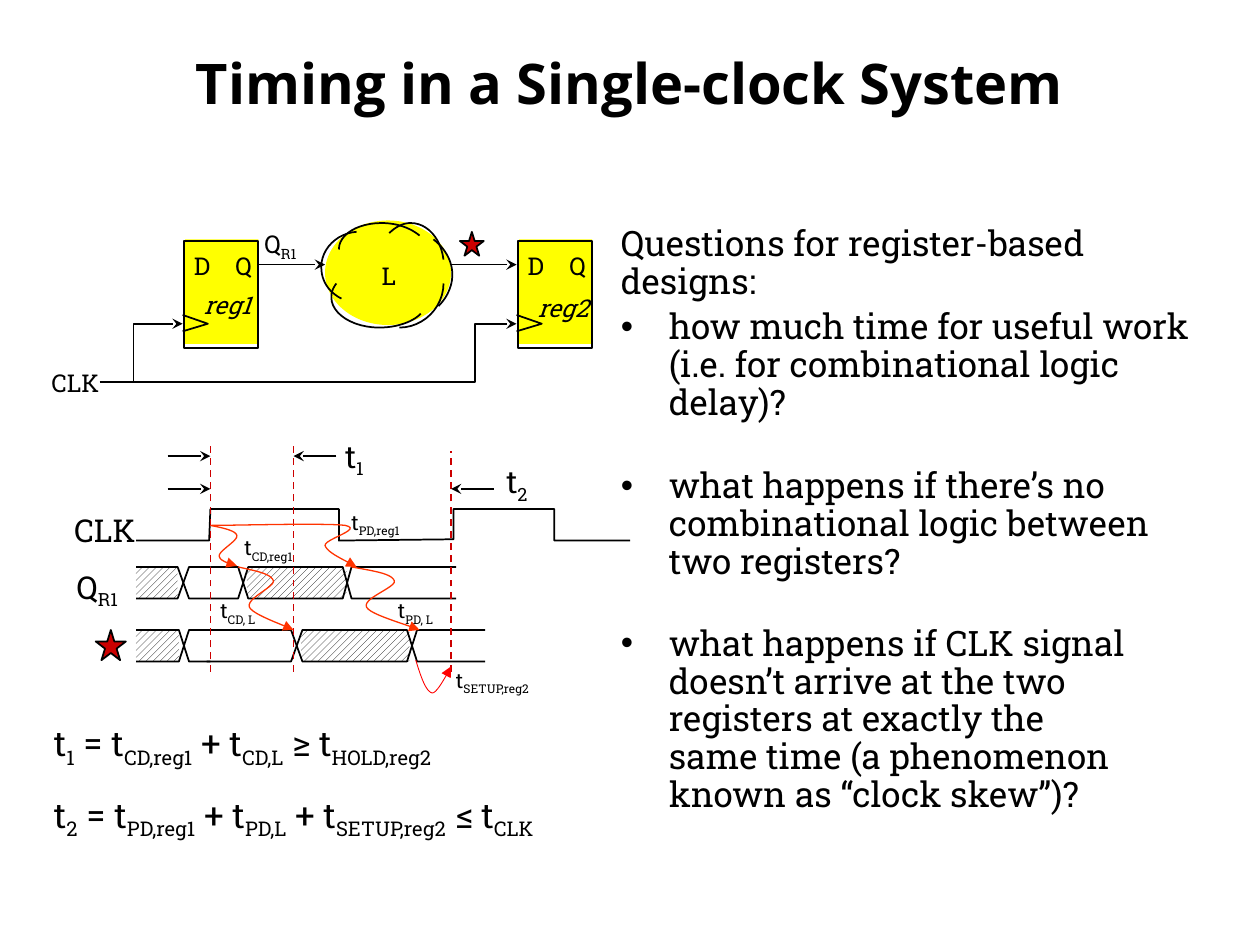
from dataclasses import dataclass
from itertools import chain

from lxml.etree import SubElement
from pptx import Presentation
from pptx.dml.color import RGBColor
from pptx.enum.dml import MSO_LINE_DASH_STYLE as Dash, MSO_PATTERN_TYPE as Pattern
from pptx.enum.shapes import MSO_CONNECTOR_TYPE as Connector, MSO_SHAPE as Preset
from pptx.enum.text import MSO_ANCHOR as Anchor, MSO_AUTO_SIZE as AutoSize, PP_ALIGN as Align
from pptx.oxml.ns import qn
from pptx.util import Inches, Pt

# The slide is a grid of 100 columns by 75 rows; all lengths are in cells.
COLUMNS, ROWS = 100, 75
CELL = Inches(0.1)
BLACK, WHITE, YELLOW, RED, ORANGE = "000000", "FFFFFF", "FFFF00", "CC0000", "FF3300"
BODY_FONT, TITLE_FONT = "Roboto Slab", "Open Sans"
Point = tuple[float, float]


@dataclass
class Label:
    """Text in which every second part between bars is a subscript."""
    text: str
    left: float
    top: float
    width: float
    height: float
    size: float
    italic: bool = False
    wrap: bool = False


@dataclass
class Bus:
    """A stretch of a data signal with its uncertain (hatched) span."""
    top: float
    left: float
    right: float
    hatch: tuple[float, float]
    crossings: tuple[tuple[float, float], ...]


@dataclass
class Question:
    """A text box on the right, with an optional heading."""
    top: float
    width: float
    height: float
    bullet: str
    heading: str = ""


LABELS = [
    Label("CLK", 3.1, 29, 6.3, 3.2, 14), Label("L", 29.3, 20.5, 3.2, 3.2, 14),
    Label("Q|R1", 20, 17.7, 5.5, 3.2, 14),
    Label("CLK", 4.9, 40.4, 7.5, 3.8, 18), Label("Q|R1", 5.1, 44.6, 6.5, 3.8, 18),
    Label("t|1", 26.4, 34.2, 4, 3.8, 18), Label("t|2", 39.2, 36.2, 4, 3.8, 18),
    Label("t|CD,reg1", 18.4, 42, 7.1, 3, 12), Label("t|CD, L", 16.5, 47, 6, 3, 12),
    Label("t|PD, L", 30.6, 47, 5.7, 3, 12), Label("t|PD,reg1", 26.9, 40, 7, 3, 12),
    Label("t|SETUP,reg2", 35.2, 52.5, 9.2, 3, 12),
    Label("t|1| = t|CD,reg1| + t|CD,L| ≥ t|HOLD,reg2", 3.3, 56.8, 43.3, 4.1, 20, wrap=True),
    Label("t|2| = t|PD,reg1| + t|PD,L| + t|SETUP,reg2| ≤ t|CLK", 3.3, 62.5, 55.8, 4.1, 20, wrap=True),
]
BUSES = [
    Bus(45, 10.8, 16.7, (10.8, 14.1), ((14.1, 15),)),
    Bus(45, 16.7, 36.2, (19.6, 27.5), ((18.9, 19.7), (27.2, 27.9))),
    Bus(50, 10.8, 16.7, (10.8, 14.2), ((14.2, 15),)),
    Bus(50, 16.4, 38.5, (23.9, 32.5), ((23.1, 24), (32.3, 33.1))),
]
CLOUD_ARCS = [
    [(35.2, 22.5), (35.2, 24.4), (33.6, 26), (31.7, 26)],
    [(34.4, 19), (35.3, 19.7), (35.9, 20.7), (35.9, 21.8), (35.9, 22.7), (35.5, 23.6), (34.8, 24.3)],
    [(30.9, 18.5), (31.4, 18), (32, 17.7), (32.6, 17.7), (33.9, 17.7), (35, 18.9), (35.2, 20.6)],
    [(26.9, 19.8), (26.9, 18.6), (28.4, 17.7), (30.3, 17.7), (31.5, 17.7), (32.6, 18.1), (33.3, 18.7)],
    [(27.1, 23.7), (26.1, 23.2), (25.5, 22.3), (25.5, 21.2), (25.5, 19.7), (26.8, 18.5), (28.3, 18.4)],
    [(33.4, 24.9), (32.7, 25.6), (31.4, 26), (30.1, 26), (28, 26), (26.3, 24.9), (26.3, 23.6),
     (26.3, 23.2), (26.4, 22.9), (26.7, 22.5)],
]
DELAY_CURVES = [
    [(16.7, 41.7), (17.7, 41.9), (18.7, 42.1), (18.8, 42.5), (18.9, 42.9), (17.4, 43.7), (17.4, 44.1),
     (17.4, 44.5), (18.1, 44.7), (18.8, 44.9)],
    [(18.9, 45), (20.2, 45.3), (21.5, 45.5), (21.7, 46.1), (21.8, 46.6), (19.5, 47.5), (19.8, 48.2),
     (20.1, 48.8), (22.5, 49.6), (23.3, 50)],
    [(27.9, 45), (29.5, 45.3), (31.1, 45.5), (31.3, 46.1), (31.5, 46.6), (28.7, 47.5), (29.1, 48.2),
     (29.4, 48.8), (32.4, 49.6), (33.3, 50)],
    [(16.8, 41.7), (18.6, 41.7), (25.9, 41.5), (27.4, 41.7), (28.9, 42), (25.7, 42.8), (25.8, 43.3),
     (26, 43.9), (27.3, 44.4), (28.3, 45)],
]
SETUP_CURVE = [(33, 52.4), (33.4, 53.7), (33.8, 54.9), (34.3, 55), (34.7, 55.1), (35.8, 52.9), (35.8, 52.9)]
QUESTIONS = [
    Question(17.5, 49.2, 16.7, "how much time for useful work (i.e. for combinational logic delay)?",
             "Questions for register-based designs:"),
    Question(36.7, 47.5, 12.5, "what happens if there’s no combinational logic between two registers?"),
    Question(49.2, 43.3, 16.8, "what happens if CLK signal doesn’t arrive at the two registers at exactly "
             "the same time (a phenomenon known as “clock skew”)?"),
]


def color(value: str) -> RGBColor:
    """Turn a hex string into a colour."""
    return RGBColor.from_string(value)


def cells(*lengths: float) -> list[int]:
    """Convert grid lengths to slide units."""
    return [round(length * CELL) for length in lengths]


def style_line(shape, line_color: str, width: float = 1, arrow: str = "") -> None:
    """Format a line and give it an optional arrowhead at its end."""
    shape.line.color.rgb = color(line_color)
    shape.line.width = Pt(width)
    if arrow:
        SubElement(shape.line._get_or_add_ln(), qn("a:tailEnd"), type=arrow)


def draw_shape(preset, left, top, width, height, fill="", line="", hatched=False) -> None:
    """Draw a preset shape with a solid, hatched or missing fill."""
    shape = slide.shapes.add_shape(preset, *cells(left, top, width, height))
    shape.shadow.inherit = False
    if hatched:
        shape.fill.patterned()
        shape.fill.pattern = Pattern.WIDE_UPWARD_DIAGONAL
        shape.fill.fore_color.rgb, shape.fill.back_color.rgb = color(BLACK), color(WHITE)
    elif fill:
        shape.fill.solid()
        shape.fill.fore_color.rgb = color(fill)
    else:
        shape.fill.background()
    if line:
        style_line(shape, line)
    else:
        shape.line.fill.background()


def draw_path(points: list[Point], line=BLACK, width: float = 1, arrow="") -> None:
    """Draw an open outline through the points."""
    start, *others = [tuple(cells(*point)) for point in points]
    builder = slide.shapes.build_freeform(*start)
    builder.add_line_segments(others, close=False)
    shape = builder.convert_to_shape()
    shape.shadow.inherit = False
    shape.fill.background()
    style_line(shape, line, width, arrow)


def bezier(knots: list[Point], steps: int = 12) -> list[Point]:
    """Sample a chain of cubic curves given as a start and triples of points."""
    points = [knots[0]]
    for first in range(0, len(knots) - 1, 3):
        for step in range(1, steps + 1):
            t = step / steps
            weights = ((1 - t) ** 3, 3 * t * (1 - t) ** 2, 3 * t * t * (1 - t), t ** 3)
            segment = list(zip(weights, knots[first:first + 4]))
            points.append((sum(w * x for w, (x, _) in segment), sum(w * y for w, (_, y) in segment)))
    return points


def draw_line(start: Point, end: Point, line=BLACK, arrow="", dashed=False) -> None:
    """Draw a straight connector."""
    connector = slide.shapes.add_connector(Connector.STRAIGHT, *cells(*start, *end))
    if dashed:
        connector.line.dash_style = Dash.DASH
    style_line(connector, line, arrow=arrow)
    SubElement(connector._element.spPr, qn("a:effectLst"))


def format_run(run, size: float, font=BODY_FONT, bold=False, italic=False) -> None:
    """Set the font of a run."""
    run.font.name, run.font.size = font, Pt(size)
    run.font.bold, run.font.italic = bold, italic
    run.font.color.rgb = color(BLACK)


def draw_label(label: Label) -> None:
    """Draw a label, lowering its subscripts."""
    box = slide.shapes.add_textbox(*cells(label.left, label.top, label.width, label.height))
    frame = box.text_frame
    frame.word_wrap, frame.auto_size = label.wrap, AutoSize.SHAPE_TO_FIT_TEXT
    paragraph = frame.paragraphs[0]
    paragraph.line_spacing = 0.9
    for index, part in enumerate(label.text.split("|")):
        run = paragraph.add_run()
        run.text = part
        format_run(run, label.size, italic=label.italic)
        if index % 2:
            run._r.get_or_add_rPr().set("baseline", "-25000")


def draw_register(left: float, name: str, name_top: float) -> None:
    """Draw a register with its pins, clock notch and name."""
    draw_shape(Preset.RECTANGLE, left + 0.1, 19, 5.8, 8.3, fill=YELLOW)
    draw_shape(Preset.RECTANGLE, left, 19.1, 5.9, 8.5, line=BLACK)
    draw_path([(left - 0.1, 25), (left + 1.9, 25.7), (left - 0.1, 26.3)])
    for pin, offset in (("D", -0.2), ("Q", 3.1)):
        draw_label(Label(pin, left + offset, 19.7, 3.6, 3.2, 14))
    draw_label(Label(name, left + 0.6, name_top, 6.3, 3.4, 14, italic=True))


def draw_bus(bus: Bus) -> None:
    """Draw the hatched span and the two traces that swap at each crossing."""
    draw_shape(Preset.RECTANGLE, bus.hatch[0], bus.top, bus.hatch[1] - bus.hatch[0], 2.5, hatched=True)
    columns = list(chain([bus.left], *bus.crossings, [bus.right]))
    for phase in (0, 1):
        draw_path([(x, bus.top + 2.5 * ((index // 2 + phase) % 2)) for index, x in enumerate(columns)])


def draw_question(question: Question) -> None:
    """Draw a bulleted question below its optional heading."""
    frame = slide.shapes.add_textbox(*cells(48.3, question.top, question.width, question.height)).text_frame
    frame.word_wrap = True
    frame.text = "\n".join(filter(None, (question.heading, question.bullet)))
    for paragraph in frame.paragraphs:
        paragraph.line_spacing, paragraph.space_before = 0.9, Pt(4)
        format_run(paragraph.runs[0], 20)
    properties = frame.paragraphs[-1]._p.get_or_add_pPr()
    properties.set("marL", str(Inches(0.38)))
    properties.set("indent", str(-Inches(0.38)))
    SubElement(properties, qn("a:buFont"), typeface="Arial")
    SubElement(properties, qn("a:buChar"), char="•")


presentation = Presentation()
presentation.slide_width, presentation.slide_height = cells(COLUMNS, ROWS)
slide = presentation.slides.add_slide(presentation.slide_layouts[5])
title = slide.shapes.title
title.left, title.top, title.width, title.height = cells(5, 3, 90, 7)
title.text_frame.text = "Timing in a Single-clock System"
title.text_frame.vertical_anchor = Anchor.MIDDLE
title.text_frame.paragraphs[0].alignment = Align.CENTER
format_run(title.text_frame.paragraphs[0].runs[0], 32, TITLE_FONT, bold=True)

draw_shape(Preset.OVAL, 25.8, 17.5, 10, 8.3, fill=YELLOW)
for arc in CLOUD_ARCS:
    draw_path(bezier(arc))
draw_register(14.6, "reg1", 22.8)
draw_register(41.1, "reg2", 23)
for start, end in ((20.5, 25.8), (35.7, 41)):
    draw_line((start, 21), (end, 21), arrow="stealth")
for start, bend, end in ((7.9, 10.6, 14.5), (10.6, 37.7, 41)):
    draw_path([(start, 30.3), (bend, 30.3), (bend, 25.7), (end, 25.7)], arrow="stealth")

for bus in BUSES:
    draw_bus(bus)
draw_path([(10.8, 42.9), (16.6, 42.9), (16.7, 40.4), (26.9, 40.4), (26.9, 42.9), (36, 42.8),
           (36, 40.4), (44, 40.4), (44, 42.9), (50, 42.9)])
for left, top, size in ((36.5, 18.4, 1.9), (7.6, 50, 2.4)):
    draw_shape(Preset.STAR_5_POINT, left, top, size, size, fill=RED, line=BLACK)
for column, top in ((16.7, 35.4), (23.3, 35.4), (35.8, 35.8)):
    draw_line((column, 53.3), (column, top), RED, dashed=True)
for row, column in ((36.2, 23.3), (38.8, 35.8)):
    draw_line((13.3, row), (16.7, row), arrow="stealth")
    draw_line((column + 3.4, row), (column, row), arrow="stealth")
for curve in DELAY_CURVES:
    draw_path(bezier(curve), ORANGE, 0.75, "triangle")
draw_path(bezier(SETUP_CURVE), "FF0000", 0.5, "triangle")

for label in LABELS:
    draw_label(label)
for question in QUESTIONS:
    draw_question(question)
presentation.save("out.pptx")
